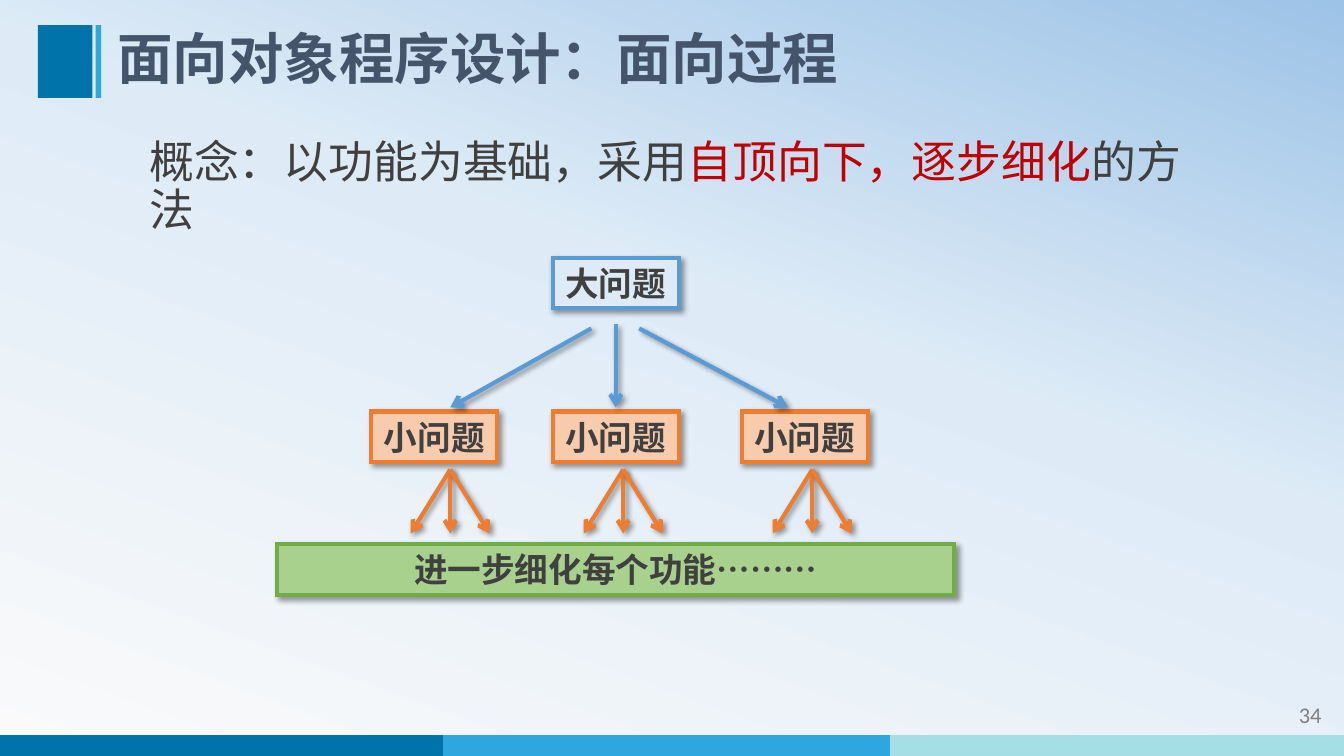
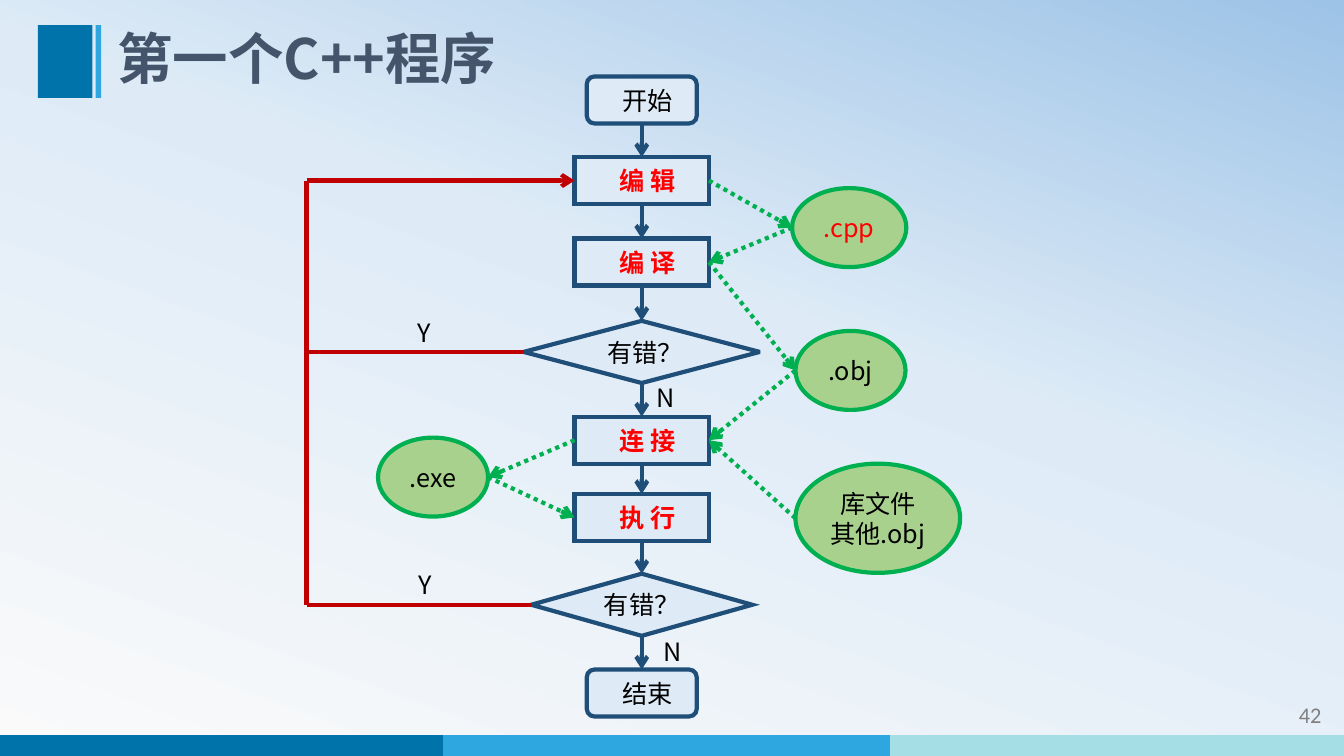
from dataclasses import dataclass
from itertools import pairwise
from typing import NamedTuple, Optional

from lxml.etree import SubElement
from pptx import Presentation
from pptx.dml.color import RGBColor
from pptx.enum.dml import MSO_LINE
from pptx.enum.shapes import MSO_CONNECTOR, MSO_SHAPE as Kind
from pptx.enum.text import MSO_ANCHOR as Anchor, PP_ALIGN as Align
from pptx.oxml.ns import qn
from pptx.util import Emu, Inches, Pt

# The slide is a grid of 160 columns and 90 rows of square cells.
COLS, ROWS = 160, 90
CELL = Inches(1) // 12

SANS = "Noto Sans CJK SC"
LATIN = "Calibri"

BLACK = RGBColor(0x00, 0x00, 0x00)
INK = RGBColor(0x40, 0x40, 0x40)
SLATE = RGBColor(0x44, 0x54, 0x6A)
GREY = RGBColor(0x80, 0x80, 0x80)
RED = RGBColor(0xFF, 0x00, 0x00)
DARK_RED = RGBColor(0xC0, 0x00, 0x00)
DEEP = RGBColor(0x00, 0x73, 0xAB)
SKY = RGBColor(0x2E, 0xA7, 0xE0)
AQUA = RGBColor(0xA5, 0xDE, 0xE4)
PALE = RGBColor(0xDE, 0xEB, 0xF7)
BLUE = RGBColor(0x5B, 0x9B, 0xD5)
NAVY = RGBColor(0x1F, 0x4E, 0x79)
PEACH = RGBColor(0xF8, 0xCB, 0xAD)
ORANGE = RGBColor(0xED, 0x7D, 0x31)
LEAF = RGBColor(0xA9, 0xD1, 0x8E)
MOSS = RGBColor(0x70, 0xAD, 0x47)
GREEN = RGBColor(0x00, 0xB0, 0x50)

STOPS = ((0, RGBColor(0xFA, 0xFA, 0xFA)), (58, PALE),
         (100, RGBColor(0x9D, 0xC3, 0xE6)))


class Spot(NamedTuple):
    x: float
    y: float


class Box(NamedTuple):
    x: float
    y: float
    w: float
    h: float

    @property
    def left(self) -> Spot:
        return Spot(self.x, self.y + self.h / 2)

    @property
    def right(self) -> Spot:
        return Spot(self.x + self.w, self.y + self.h / 2)

    @property
    def top(self) -> Spot:
        return Spot(self.x + self.w / 2, self.y)

    @property
    def base(self) -> Spot:
        return Spot(self.x + self.w / 2, self.y + self.h)


class Run(NamedTuple):
    text: str
    size: float
    color: RGBColor = BLACK
    bold: bool = False
    font: str = SANS


@dataclass(frozen=True)
class Node:
    box: Box
    run: Run
    fill: RGBColor
    edge: RGBColor
    kind: Kind = Kind.RECTANGLE
    shift: float = 0
    shade: bool = False


def cells(*counts: float) -> list[Emu]:
    return [Emu(round(n * CELL)) for n in counts]


def add_effect(shape, shade: bool) -> None:
    """Replace the theme shadow by a soft one, or by none."""
    effect = SubElement(shape.element.spPr, qn("a:effectLst"))
    if shade:
        drop = SubElement(effect, qn("a:outerShdw"), blurRad=str(Pt(4)),
                          dist=str(Pt(3)), dir=str(45 * 60000),
                          algn="tl", rotWithShape="0")
        tint = SubElement(drop, qn("a:srgbClr"), val=str(BLACK))
        SubElement(tint, qn("a:alpha"), val="40000")


def write(frame, runs: list[Run], align=Align.LEFT, anchor=Anchor.TOP,
          space: float = 1) -> None:
    frame.word_wrap = True
    frame.vertical_anchor = anchor
    para = frame.paragraphs[0]
    para.alignment = align
    para.line_spacing = space
    for item in runs:
        for row, text in enumerate(item.text.split("\n")):
            if row:
                para.add_line_break()
            run = para.add_run()
            run.text = text
            font = run.font
            font.name, font.size = item.font, Pt(item.size)
            font.bold, font.color.rgb = item.bold, item.color
            SubElement(font._element, qn("a:ea"), typeface=item.font)


def add_text(slide, box: Box, runs: list[Run], **style) -> None:
    write(slide.shapes.add_textbox(*cells(*box)).text_frame, runs, **style)


def add_block(slide, box: Box, fill: RGBColor, kind=Kind.RECTANGLE,
              edge: Optional[RGBColor] = None, shade: bool = False):
    shape = slide.shapes.add_shape(kind, *cells(*box))
    shape.fill.solid()
    shape.fill.fore_color.rgb = fill
    if edge is None:
        shape.line.fill.background()
    else:
        shape.line.color.rgb, shape.line.width = edge, Pt(3)
        SubElement(shape.element.spPr.get_or_add_ln(), qn("a:miter"),
                   lim="800000")
    add_effect(shape, shade)
    return shape


def add_node(slide, node: Node) -> None:
    shape = add_block(slide, node.box, node.fill, node.kind, node.edge,
                      node.shade)
    frame = shape.text_frame
    frame.margin_left = Inches(0.1 + node.shift)
    write(frame, [node.run], Align.CENTER, Anchor.MIDDLE)


def add_line(slide, start: Spot, end: Spot, color: RGBColor,
             arrow: bool = True, dots: bool = False,
             shade: bool = False) -> None:
    link = slide.shapes.add_connector(MSO_CONNECTOR.STRAIGHT,
                                      *cells(*start, *end))
    link.line.color.rgb, link.line.width = color, Pt(3)
    if dots:
        link.line.dash_style = MSO_LINE.ROUND_DOT
    if arrow:
        SubElement(link.element.spPr.get_or_add_ln(), qn("a:tailEnd"),
                   type="arrow")
    add_effect(link, shade)


def paint_back(slide) -> None:
    fill = slide.background.fill
    fill.gradient()
    fill.gradient_angle = 70
    ramp = next(slide.element.iter(qn("a:gsLst")))
    for old in list(ramp):
        ramp.remove(old)
    for share, color in STOPS:
        stop = SubElement(ramp, qn("a:gs"), pos=str(share * 1000))
        SubElement(stop, qn("a:srgbClr"), val=str(color))


def add_slide(deck, title: str, number: int):
    """Add a blank slide with the shared back, bands, title and number."""
    slide = deck.slides.add_slide(deck.slide_layouts[6])
    paint_back(slide)
    edges = pairwise((0, 52.75, 106, COLS))
    for (start, end), color in zip(edges, (DEEP, SKY, AQUA)):
        add_block(slide, Box(start, 87.5, end - start, ROWS - 87.5), color)
    add_block(slide, Box(4.5, 3, 6.5, 8.65), DEEP)
    add_block(slide, Box(11.4, 3, 0.65, 8.65), SKY)
    add_text(slide, Box(139.4, 82.9, 19.1, 4.8),
             [Run(str(number), 16, GREY, font=LATIN)], align=Align.RIGHT)
    add_text(slide, Box(12.8, 3, 130.3, 8.65),
             [Run(title, 39.6, SLATE, True)], anchor=Anchor.MIDDLE, space=0.9)
    return slide


def draw_tree(deck) -> None:
    slide = add_slide(deck, "面向对象程序设计：面向过程", 34)
    add_text(slide, Box(16.6, 16, 128.4, 16.4), [
        Run("概念：以功能为基础，采用", 32, INK),
        Run("自顶向下，逐步细化", 32, DARK_RED),
        Run("的方法", 32, INK)], space=0.9)

    def add_card(box: Box, text: str, fill: RGBColor, edge: RGBColor) -> None:
        add_node(slide, Node(box, Run(text, 24, INK, True), fill, edge,
                             shade=True))

    add_card(Box(65.8, 30.7, 15, 6), "大问题", PALE, BLUE)
    for x in (44.2, 65.8, 88.3):
        add_card(Box(x, 49, 15, 6), "小问题", PEACH, ORANGE)
    for start, end in ((Spot(70.4, 39.1), 53.6), (Spot(73.3, 38.6), 73.3),
                       (Spot(76.1, 39.1), 93.8)):
        add_line(slide, start, Spot(end, 48.5), BLUE, shade=True)
    for x in (53.6, 74.2, 96.7):
        for step in (-4.7, 0, 4.7):
            add_line(slide, Spot(x, 55.9), Spot(x + step, 63.5), ORANGE,
                     shade=True)
    add_card(Box(33, 64.8, 80.6, 6), "进一步细化每个功能………", LEAF, MOSS)


def draw_flow(deck) -> None:
    slide = add_slide(deck, "第一个C++程序", 42)
    axis = 76.4

    def stage(text: str, y: float, w: float, h: float, kind: Kind,
              shift: float = 0.11, color: RGBColor = BLACK,
              bold: bool = False) -> Node:
        return Node(Box(axis - w / 2, y, w, h), Run(text, 18, color, bold),
                    PALE, NAVY, kind, shift)

    def task(text: str, y: float) -> Node:
        return stage(text, y, 16, 5.6, Kind.FLOWCHART_PROCESS,
                     color=RED, bold=True)

    def cap(text: str, y: float) -> Node:
        return stage(text, y, 13.1, 5.6, Kind.FLOWCHART_ALTERNATE_PROCESS)

    def test(y: float, w: float, shift: float) -> Node:
        return stage("有错？", y, w, 7.4, Kind.FLOWCHART_DECISION, shift)

    flow = [cap("开始", 9.1), task("编 辑", 18.7), task("编 译", 28.4),
            test(38.2, 28.1, 0.06), task("连 接", 49.6), task("执 行", 58.8),
            test(68.3, 26.3, 0), cap("结束", 79.7)]
    for node in flow:
        add_node(slide, node)
    for upper, lower in pairwise(flow):
        add_line(slide, upper.box.base, lower.box.top, NAVY)
    _, edit, build, check, link, launch, review, _ = (n.box for n in flow)

    rail = 36.5
    for box in (review, check):
        add_line(slide, box.left, Spot(rail, box.left.y), DARK_RED, False)
    add_line(slide, Spot(rail, edit.left.y), edit.left, DARK_RED)
    add_line(slide, Spot(rail, review.left.y), Spot(rail, edit.left.y),
             DARK_RED, False)

    exe = Box(45, 52.1, 13.1, 9.4)
    cpp = Box(94.3, 22.4, 13.6, 9.4)
    obj = Box(94.7, 39.4, 13.1, 9.4)
    lib = Box(94.7, 55.2, 19.6, 13)
    for start, end in ((exe.right, launch.left), (link.left, exe.right),
                       (edit.right, cpp.left), (cpp.left, build.right),
                       (build.right, obj.left), (obj.left, link.right),
                       (lib.left, link.right)):
        add_line(slide, start, end, GREEN, dots=True)
    for box, text, color in ((exe, ".exe", BLACK), (cpp, ".cpp", RED),
                             (obj, ".obj", BLACK),
                             (lib, "库文件\n其他.obj", BLACK)):
        add_node(slide, Node(box, Run(text, 18, color), LEAF, GREEN,
                             Kind.OVAL))
    for text, x, y in (("Y", 48.5, 37.2), ("Y", 48.7, 67.2),
                       ("N", 77.8, 75.2), ("N", 77, 44.9)):
        add_text(slide, Box(x, y, 6.6, 4.8), [Run(text, 18)])


def main() -> None:
    deck = Presentation()
    deck.slide_width, deck.slide_height = cells(COLS, ROWS)
    draw_tree(deck)
    draw_flow(deck)
    deck.save("out.pptx")


if __name__ == "__main__":
    main()
